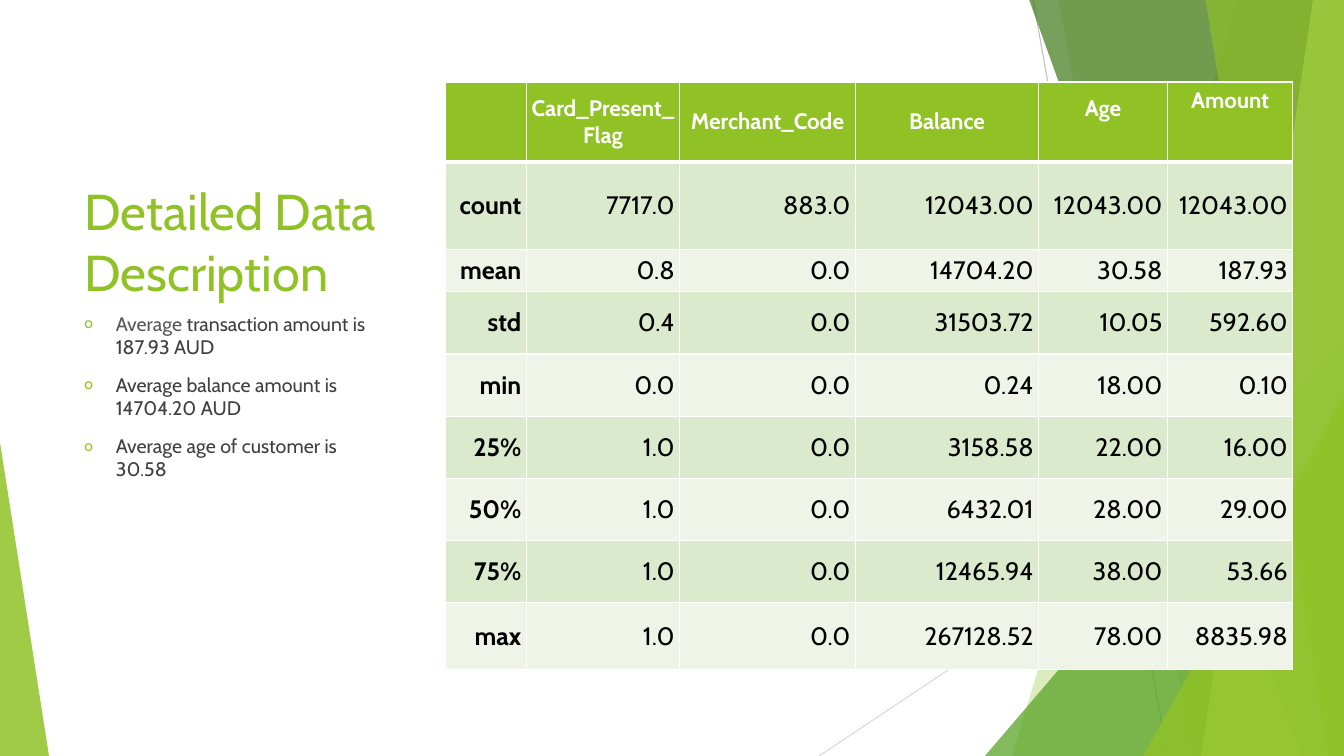
"""Build the detailed data description slide."""
import lxml.etree
import pptx
import pptx.dml.color
import pptx.enum.shapes
import pptx.enum.text
import pptx.oxml.ns
import pptx.util

Pt = pptx.util.Pt
ALIGN = pptx.enum.text.PP_ALIGN
ANCHOR = pptx.enum.text.MSO_ANCHOR
FONT = "Cabin"
WIDE, HIGH = 960, 540
COLORS = {
    "lime": "90C226", "leaf": "54A021", "pine": "3F7819", "pale": "C0E474",
    "white": "FFFFFF", "black": "000000", "odd": "DBE9CD", "even": "EEF4E8",
    "gray": "595959", "dark": "404040", "wire": "BFBFBF", "faint": "D9D9D9",
}
TITLE = "Detailed Data Description"
POINTS = [
    [("Average ", "gray"), ("transaction amount is 187.93 AUD", "dark")],
    [("Average balance amount is 14704.20 AUD", "dark")],
    [("Average age of customer is 30.58", "dark")],
]
ROWS = [
    ("", "Card_Present_Flag", "Merchant_Code", "Balance", "Age", "Amount"),
    ("count", "7717.0", "883.0", "12043.00", "12043.00", "12043.00"),
    ("mean", "0.8", "0.0", "14704.20", "30.58", "187.93"),
    ("std", "0.4", "0.0", "31503.72", "10.05", "592.60"),
    ("min", "0.0", "0.0", "0.24", "18.00", "0.10"),
    ("25%", "1.0", "0.0", "3158.58", "22.00", "16.00"),
    ("50%", "1.0", "0.0", "6432.01", "28.00", "29.00"),
    ("75%", "1.0", "0.0", "12465.94", "38.00", "53.66"),
    ("max", "1.0", "0.0", "267128.52", "78.00", "8835.98"),
]
COL_WIDTHS = [58, 109.5, 125.5, 131, 92, 89.5]
ROW_HEIGHTS = [57, 63, 30] + [44.4] * 5 + [48]
LINES = [(738, 0, 834, HIGH, "wire"), (WIDE, 290, 585, HIGH, "faint")]
DECOR = [
    ("band", (884, 723), "lime", 30),
    ("band", (756, 852), "lime", 20),
    ("wedge", (703.5, 240, 256.5, 300, 1), "leaf", 72),
    ("band", (735, 929.5), "pine", 70),
    ("band", (938, 858), "pale", 70),
    ("band", (861, 949), "lime", 65),
    ("wedge", (816.5, 283, 143.5, 257, 1), "lime", 80),
    ("wedge", (0, 316, 35, 224, 0), "lime", 85),
]


def tint(name):
    return pptx.dml.color.RGBColor.from_string(COLORS[name])


def add_tag(owner, tag, **attrs):
    return lxml.etree.SubElement(owner, pptx.oxml.ns.qn(tag), attrs)


def add_run(para, text, size, color, bold=False):
    run = para.add_run()
    run.text = text
    run.font.name, run.font.size, run.font.bold = FONT, Pt(size), bold
    run.font.color.rgb = tint(color)


def add_line(slide, x1, y1, x2, y2, color):
    line = slide.shapes.add_connector(
        pptx.enum.shapes.MSO_CONNECTOR.STRAIGHT, Pt(x1), Pt(y1), Pt(x2), Pt(y2))
    line.line.color.rgb = tint(color)
    line.line.width = Pt(0.75)
    add_tag(line._element.spPr, "a:effectLst")


def add_decor(slide, kind, dims, color, alpha):
    if kind == "band":
        top, base = dims
        pen = slide.shapes.build_freeform(Pt(top), Pt(-0.6), scale=1.0)
        pen.add_line_segments([(Pt(WIDE), Pt(-0.6)), (Pt(WIDE), Pt(HIGH)), (Pt(base), Pt(HIGH))])
        shape = pen.convert_to_shape()
    else:
        *box, tip = dims
        shape = slide.shapes.add_shape(
            pptx.enum.shapes.MSO_SHAPE.ISOSCELES_TRIANGLE, *map(Pt, box))
        shape.adjustments[0] = tip
    shape.shadow.inherit = False
    shape.line.fill.background()
    shape.fill.solid()
    shape.fill.fore_color.rgb = tint(color)
    hue = shape._element.spPr.find(".//" + pptx.oxml.ns.qn("a:srgbClr"))
    add_tag(hue, "a:alpha", val=str(alpha * 1000))


def set_frame(shape, box, anchor):
    shape.left, shape.top, shape.width, shape.height = map(Pt, box)
    frame = shape.text_frame
    frame.word_wrap = True
    frame.auto_size = pptx.enum.text.MSO_AUTO_SIZE.NONE
    frame.vertical_anchor = anchor
    return frame


def fill_title(slide):
    frame = set_frame(slide.shapes.title, (53, 118, 235.5, 101), ANCHOR.BOTTOM)
    para = frame.paragraphs[0]
    para.alignment = ALIGN.LEFT
    add_run(para, TITLE, 36, "lime")


def fill_body(slide):
    frame = set_frame(slide.placeholders[1], (53, 219, 228, 204), ANCHOR.TOP)
    for i, parts in enumerate(POINTS):
        para = frame.add_paragraph() if i else frame.paragraphs[0]
        para.alignment = ALIGN.LEFT
        para.space_before = Pt(10)
        props = para._p.get_or_add_pPr()
        props.set("marL", str(Pt(22.5)))
        props.set("indent", str(-Pt(22.5)))
        add_tag(add_tag(props, "a:buClr"), "a:srgbClr", val=COLORS["lime"])
        add_tag(props, "a:buSzPct", val="80000")
        add_tag(props, "a:buFont", typeface=FONT)
        add_tag(props, "a:buChar", char="o")
        for text, color in parts:
            add_run(para, text, 14, color)


def set_edges(cell, row):
    props = cell._tc.get_or_add_tcPr()
    thick = {(0, "B"), (1, "T")}
    for i, side in enumerate("LRTB"):
        width = 3 if (row, side) in thick else 1
        edge = add_tag(props, "a:ln" + side, w=str(Pt(width)))
        add_tag(add_tag(edge, "a:solidFill"), "a:srgbClr", val=COLORS["white"])
        props.insert(i, edge)


def fill_cell(cell, text, row, col):
    head = row == 0
    cell.fill.solid()
    cell.fill.fore_color.rgb = tint("lime" if head else "odd" if row % 2 else "even")
    set_edges(cell, row)
    cell.margin_left = cell.margin_right = cell.margin_top = cell.margin_bottom = Pt(3.6)
    cell.vertical_anchor = ANCHOR.TOP if head and text == "Amount" else ANCHOR.MIDDLE
    if head and text == "Age":
        cell.margin_bottom = Pt(22.5)
    para = cell.text_frame.paragraphs[0]
    para.alignment = ALIGN.CENTER if head else ALIGN.RIGHT
    if text:
        add_run(para, text, 16 if head else 18, "white" if head else "black", head or col == 0)


def add_stats(slide):
    table = slide.shapes.add_table(
        len(ROWS), len(COL_WIDTHS), Pt(318), Pt(58.5),
        Pt(sum(COL_WIDTHS)), Pt(sum(ROW_HEIGHTS))).table
    for col, width in enumerate(COL_WIDTHS):
        table.columns[col].width = Pt(width)
    for row, texts in enumerate(ROWS):
        table.rows[row].height = Pt(ROW_HEIGHTS[row])
        for col, text in enumerate(texts):
            fill_cell(table.cell(row, col), text, row, col)


def main():
    deck = pptx.Presentation()
    deck.slide_width, deck.slide_height = Pt(WIDE), Pt(HIGH)
    slide = deck.slides.add_slide(deck.slide_layouts[1])
    for line in LINES:
        add_line(slide, *line)
    for item in DECOR:
        add_decor(slide, *item)
    fill_title(slide)
    fill_body(slide)
    add_stats(slide)
    deck.save("out.pptx")


if __name__ == "__main__":
    main()
